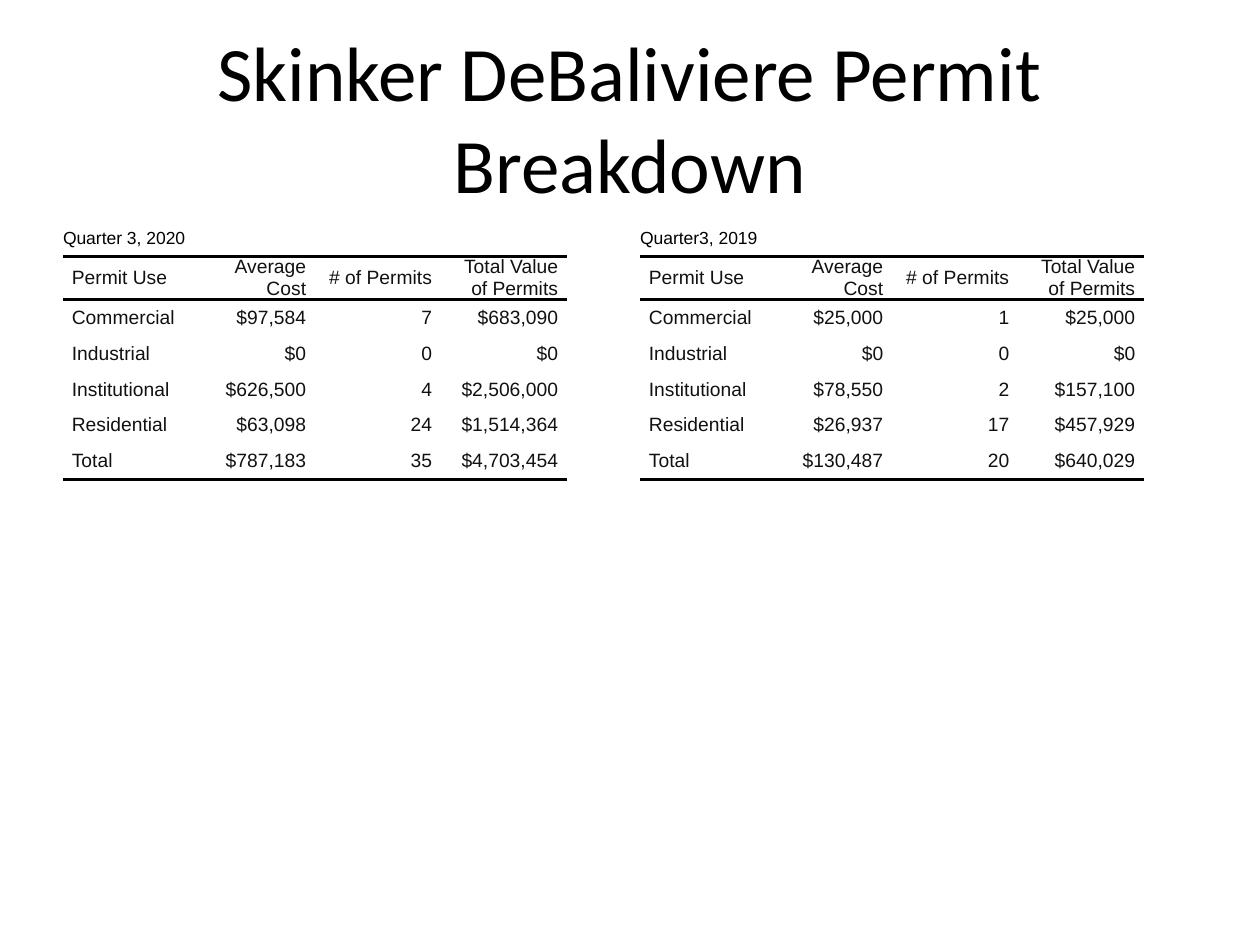
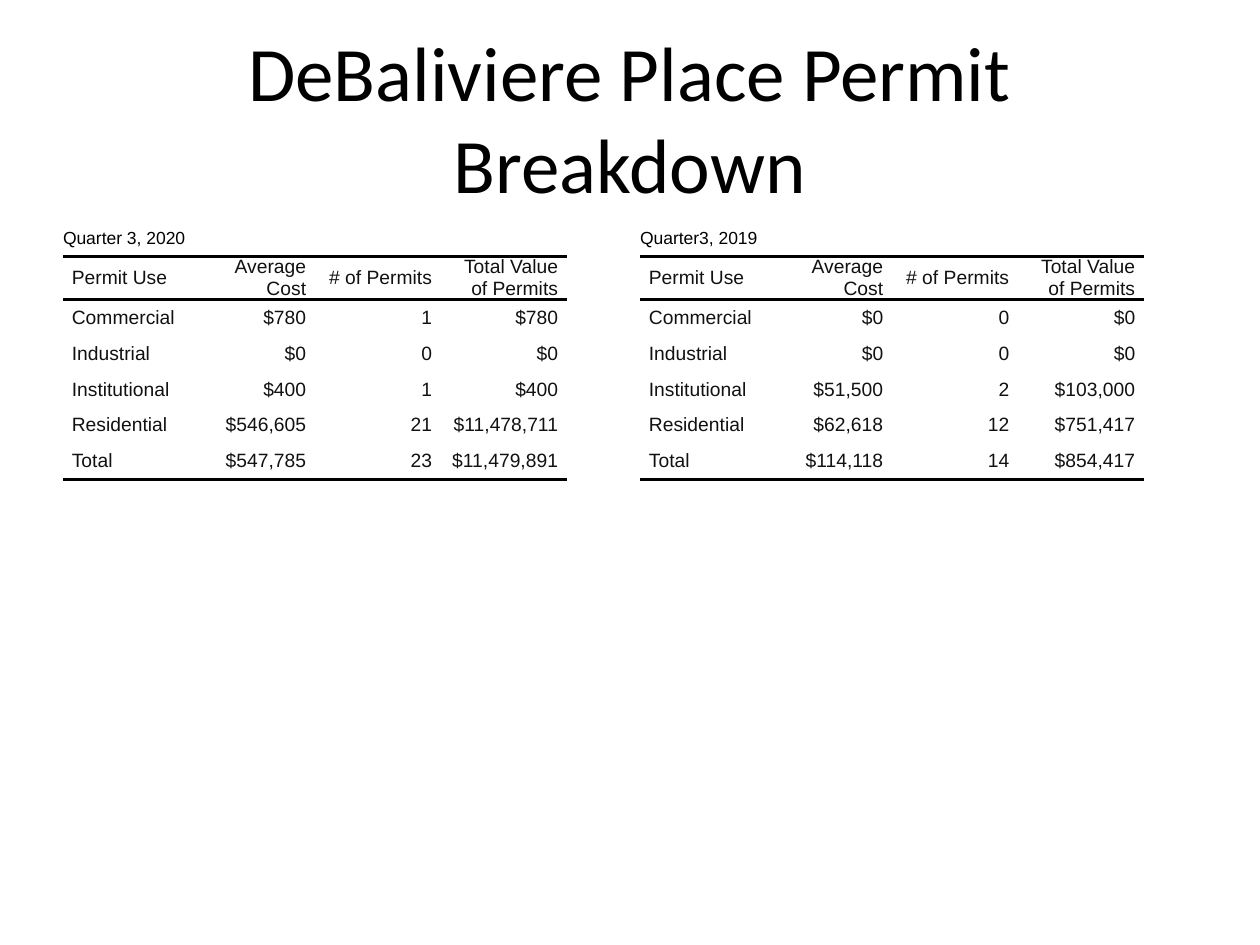
from lxml import etree
from pptx import Presentation
from pptx.dml.color import RGBColor
from pptx.enum import text
from pptx.oxml.ns import qn
from pptx.util import Inches, Pt

BLACK = RGBColor(0x00, 0x00, 0x00)
INK = RGBColor(0x11, 0x11, 0x11)
PLAIN_TABLE_STYLE = "{2D5ABB26-0587-4C30-8999-92F81FD0307C}"
CELL_INDENT = Inches(0.07)

PERIODS = ["Quarter 3, 2020", "Quarter3, 2019"]
HEADINGS = ["Permit Use", "Average Cost", "# of Permits", "Total Value of Permits"]
USES = ["Commercial", "Industrial", "Institutional", "Residential", "Total"]

# For each slide and period: average cost, number of permits and total value by use
BREAKDOWNS = {
    "Skinker DeBaliviere Permit Breakdown": [
        [("$97,584", "7", "$683,090"),
         ("$0", "0", "$0"),
         ("$626,500", "4", "$2,506,000"),
         ("$63,098", "24", "$1,514,364"),
         ("$787,183", "35", "$4,703,454")],
        [("$25,000", "1", "$25,000"),
         ("$0", "0", "$0"),
         ("$78,550", "2", "$157,100"),
         ("$26,937", "17", "$457,929"),
         ("$130,487", "20", "$640,029")],
    ],
    "DeBaliviere Place Permit Breakdown": [
        [("$780", "1", "$780"),
         ("$0", "0", "$0"),
         ("$400", "1", "$400"),
         ("$546,605", "21", "$11,478,711"),
         ("$547,785", "23", "$11,479,891")],
        [("$0", "0", "$0"),
         ("$0", "0", "$0"),
         ("$51,500", "2", "$103,000"),
         ("$62,618", "12", "$751,417"),
         ("$114,118", "14", "$854,417")],
    ],
}


def add_rule(cell, side):
    """Draw a 2 pt black border; side is lnT or lnB."""
    line = etree.SubElement(cell._tc.get_or_add_tcPr(), qn(f"a:{side}"), w=str(Pt(2)))
    fill = etree.SubElement(line, qn("a:solidFill"))
    etree.SubElement(fill, qn("a:srgbClr"), val=str(BLACK))


def write_cell(cell, words, size, color):
    cell.margin_left = cell.margin_right = cell.margin_top = cell.margin_bottom = 0
    cell.vertical_anchor = text.MSO_ANCHOR.MIDDLE
    cell.fill.background()
    cell.text = words
    para = cell.text_frame.paragraphs[0]
    para.font.name = "Arial"
    para.font.size = Pt(size)
    para.font.color.rgb = color
    return para


deck = Presentation()
deck.slide_width = Inches(10)
deck.slide_height = Inches(7.5)

for heading, periods in BREAKDOWNS.items():
    page = deck.slides.add_slide(deck.slide_layouts[5])
    title = page.shapes.title
    title.left, title.top = Inches(0.5), Inches(0.3)
    title.width, title.height = Inches(9), Inches(1.25)
    title.text_frame.text = heading
    title.text_frame.vertical_anchor = text.MSO_ANCHOR.MIDDLE
    para = title.text_frame.paragraphs[0]
    para.alignment = text.PP_ALIGN.CENTER
    para.font.name = "Calibri"
    para.font.size = Pt(44)
    para.font.color.rgb = BLACK

    for left, period, figures in zip((0.5, 5.08), PERIODS, periods):
        rows = [HEADINGS] + [(use, *values) for use, values in zip(USES, figures)]
        frame = page.shapes.add_table(len(rows) + 1, len(HEADINGS),
                                      Inches(left), Inches(1.75), Inches(4), Inches(2))
        frame.width, frame.height = Inches(4.42), Inches(4.95)
        table = frame.table
        table.first_row = table.horz_banding = False
        table._tbl.tblPr.find(qn("a:tableStyleId")).text = PLAIN_TABLE_STYLE

        caption = table.cell(0, 0)
        caption.merge(table.cell(0, len(HEADINGS) - 1))
        write_cell(caption, period, 10, BLACK)

        for row, entries in enumerate(rows, 1):
            for column, words in enumerate(entries):
                cell = table.cell(row, column)
                if row == 1:
                    add_rule(cell, "lnT")
                if row in (1, len(rows)):
                    add_rule(cell, "lnB")
                para = write_cell(cell, words, 11, INK)
                para.alignment = text.PP_ALIGN.RIGHT if column else text.PP_ALIGN.LEFT
                para.space_after = Pt(2)
                indents = para._p.get_or_add_pPr()
                indents.set("marL", str(CELL_INDENT))
                indents.set("marR", str(CELL_INDENT))

deck.save("out.pptx")
